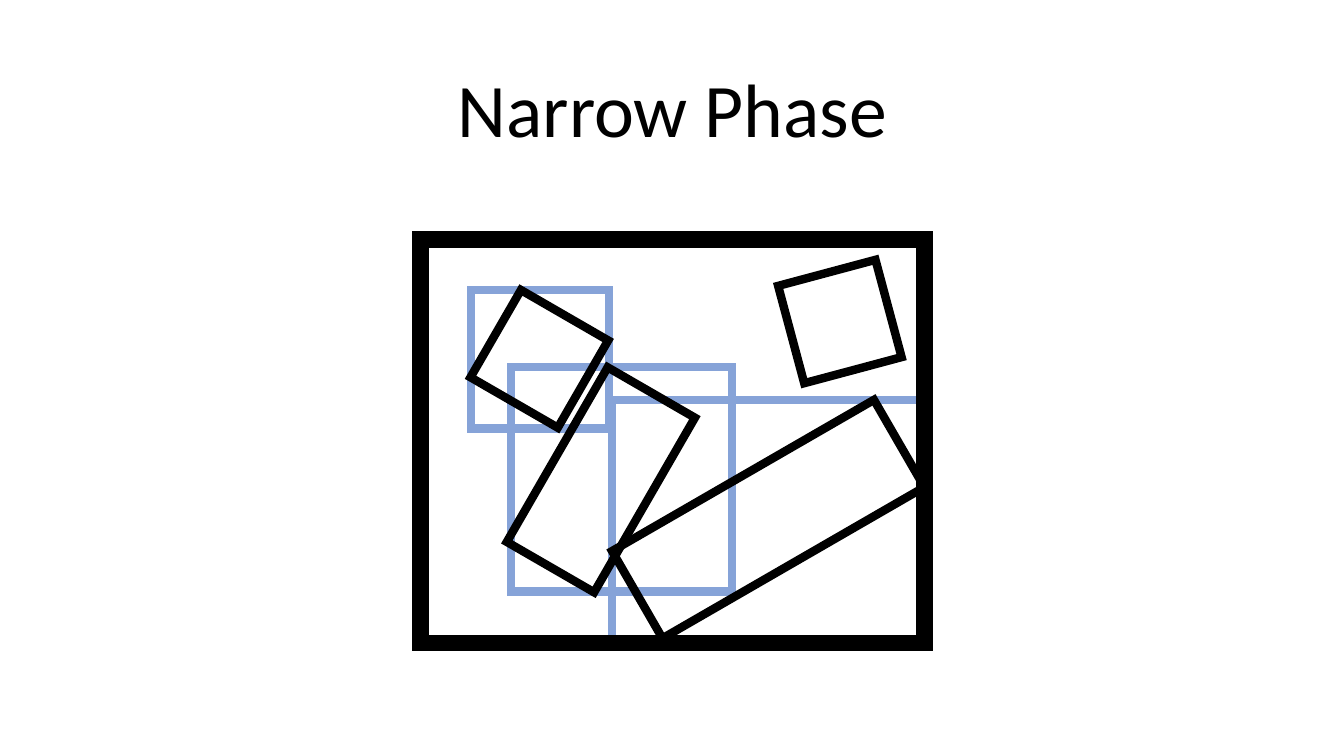
from dataclasses import dataclass

from lxml import etree
from pptx import Presentation
from pptx.dml.color import RGBColor
from pptx.enum.shapes import MSO_SHAPE
from pptx.enum.text import MSO_ANCHOR, PP_ALIGN
from pptx.oxml.ns import qn
from pptx.slide import Slide
from pptx.util import Emu, Pt

RECTANGLE = MSO_SHAPE.RECTANGLE
MIDDLE = MSO_ANCHOR.MIDDLE
CENTER = PP_ALIGN.CENTER

BLACK = RGBColor(0x00, 0x00, 0x00)
BLUE = RGBColor(0x86, 0xA3, 0xD8)
FONT = "Calibri"
EMU_PER_PX = 9144


@dataclass(frozen=True)
class Outline:
    left: int
    top: int
    width: int
    height: int
    rotation: int = 0
    color: RGBColor = BLACK
    weight: int = 6


BOUNDING_BOXES = [
    Outline(607, 397, 310, 241, color=BLUE),
    Outline(507, 364, 219, 223, color=BLUE),
    Outline(467, 288, 137, 137, color=BLUE),
]
BODIES = [
    Outline(485, 306, 100, 100, rotation=300),
    Outline(496, 426, 200, 100, rotation=300),
    Outline(612, 465, 300, 100, rotation=330),
    Outline(783, 269, 100, 100, rotation=345),
]
WORLD_FRAME = Outline(417, 238, 500, 400, weight=12)


def px(length: int) -> Emu:
    return Emu(length * EMU_PER_PX)


def add_outline(page: Slide, outline: Outline) -> None:
    shape = page.shapes.add_shape(
        RECTANGLE, px(outline.left), px(outline.top), px(outline.width), px(outline.height)
    )
    shape.rotation = outline.rotation
    shape.shadow.inherit = False
    shape.fill.background()
    shape.line.color.rgb = outline.color
    shape.line.width = Pt(outline.weight)
    line = shape.element.spPr.find(qn("a:ln"))
    etree.SubElement(line, qn("a:miter"), lim="800000")


def add_text(
    page: Slide, text: str, *, left: int, top: int, width: int, height: int,
    size: int, color: RGBColor, line_spacing: float,
) -> None:
    box = page.shapes.add_textbox(px(left), px(top), px(width), px(height))
    frame = box.text_frame
    frame.word_wrap = True
    frame.vertical_anchor = MIDDLE
    para = frame.paragraphs[0]
    para.alignment = CENTER
    para.line_spacing = line_spacing
    span = para.add_run()
    span.text = text
    span.font.name = FONT
    span.font.size = Pt(size)
    span.font.color.rgb = color


def main() -> None:
    deck = Presentation()
    deck.slide_width = px(1333)
    deck.slide_height = px(750)
    page = deck.slides.add_slide(deck.slide_layouts[6])
    for outline in [*BOUNDING_BOXES, *BODIES, WORLD_FRAME]:
        add_outline(page, outline)
    add_text(
        page, "Narrow Phase", left=92, top=40, width=1150, height=145,
        size=54, color=BLACK, line_spacing=0.9,
    )
    deck.save("out.pptx")


if __name__ == "__main__":
    main()
